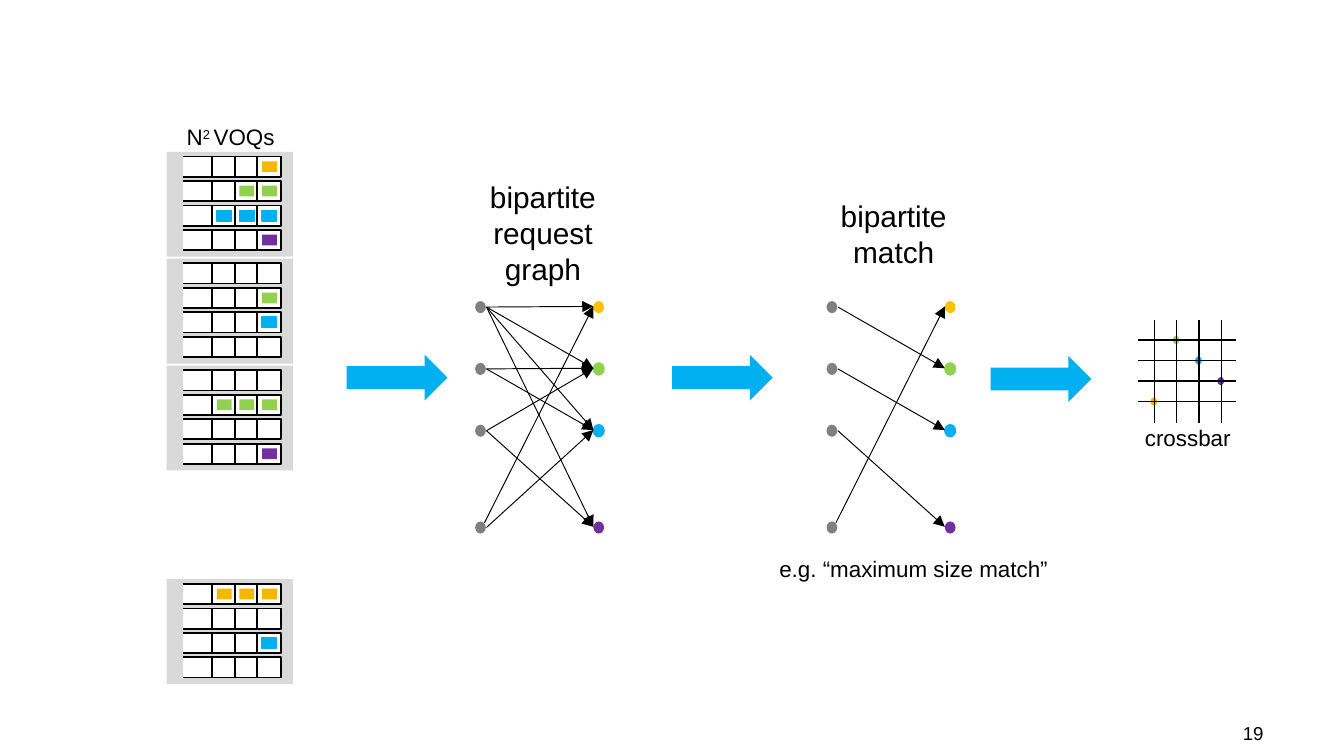
import pptx
import pptx.util
import pptx.dml.color
import pptx.enum.shapes
import pptx.enum.text
import pptx.oxml.ns
import lxml.etree

SHAPE = pptx.enum.shapes.MSO_SHAPE
ALIGN = pptx.enum.text.PP_ALIGN

COLORS = {
    "black": "000000", "white": "FFFFFF", "panel": "D9D9D9", "gray": "808080",
    "orange": "F5B800", "gold": "FFC000", "green": "92D050",
    "blue": "00B0F0", "purple": "7030A0",
}

COLUMNS, ROWS = 100, 56.25
CELL = pptx.util.Inches(10) / COLUMNS

PANELS = [
    (2, [(None, 0), ("green", 3), (None, 0), ("purple", 1)]),
    (1, [(None, 0), ("green", 1), ("blue", 1), (None, 0)]),
    (4, [("orange", 3), (None, 0), ("blue", 1), (None, 0)]),
    (0, [("orange", 1), ("green", 2), ("blue", 3), ("purple", 1)]),
]
PANEL_TOP, PANEL_PITCH, QUEUE_PITCH = 11.3, 7.95, 1.82

CROSSBAR_DOTS = [("green", 1, 0), ("blue", 2, 1), ("orange", 0, 3), ("purple", 3, 2)]

NODE_TOPS = [22.4, 27, 31.6, 38.8]
OUTPUTS = ["gold", "green", "blue", "purple"]
GRAPHS = [
    (35.35, [(0, 0), (3, 0), (3, 2), (1, 1), (1, 2), (2, 3), (0, 1), (0, 2), (0, 3), (2, 1)]),
    (61.5, [(3, 0), (1, 2), (2, 3), (0, 1)]),
]

FLOW_ARROWS = [(50, 26.4), (25.8, 26.4), (73.7, 26.5)]

LABELS = [
    ((71.7, 53.2, 23.3, 3.9), ["19"], 10, ALIGN.RIGHT),
    ((12.9, 8.7, 9.2, 3), [["N", "^2 ", "VOQs"]], 12, ALIGN.LEFT),
    ((84.2, 31.1, 8.5, 3), ["crossbar"], 12, ALIGN.LEFT),
    ((35.4, 12.8, 10, 9.1), ["bipartite", "request", "graph"], 16, ALIGN.CENTER),
    ((61.5, 14.2, 10, 6.4), ["bipartite", "match"], 16, ALIGN.CENTER),
    ((57, 40.8, 22.2, 3), ["e.g. “maximum size match”"], 12, ALIGN.LEFT),
]


def grid(*cells):
    return [round(cell * CELL) for cell in cells]


def rgb(name):
    return pptx.dml.color.RGBColor.from_string(COLORS[name])


def apply(target, values):
    for name, value in values.items():
        setattr(target, name, value)


def paint(shape, fill, line=None, width=0.75):
    shape.shadow.inherit = False
    shape.fill.solid()
    shape.fill.fore_color.rgb = rgb(fill)
    if line:
        shape.line.color.rgb = rgb(line)
        shape.line.width = pptx.util.Pt(width)
    else:
        shape.line.fill.background()


def add_block(shapes, kind, place, fill, line=None):
    paint(shapes.add_shape(kind, *grid(*place)), fill, line)


def add_line(shapes, start, end, width, arrow=False):
    line = shapes.add_connector(
        pptx.enum.shapes.MSO_CONNECTOR.STRAIGHT, *grid(*start, *end))
    line.line.color.rgb = rgb("black")
    line.line.width = pptx.util.Pt(width)
    properties = line._element.spPr
    if arrow:
        outline = properties.find(pptx.oxml.ns.qn("a:ln"))
        lxml.etree.SubElement(outline, pptx.oxml.ns.qn("a:tailEnd"), type="triangle")
    lxml.etree.SubElement(properties, pptx.oxml.ns.qn("a:effectLst"))


def add_label(shapes, place, lines, size, align):
    frame = shapes.add_textbox(*grid(*place)).text_frame
    frame.word_wrap = align == ALIGN.RIGHT
    for index, content in enumerate(lines):
        para = frame.add_paragraph() if index else frame.paragraphs[0]
        para.alignment = align
        for text in [content] if isinstance(content, str) else content:
            span = para.add_run()
            span.text = text.lstrip("^")
            apply(span.font, {"name": "Arial", "size": pptx.util.Pt(size)})
            span.font.color.rgb = rgb("black")
            if text.startswith("^"):
                span.font._element.set("baseline", "30000")


def add_queue(shapes, top):
    left, right, bottom = 13.6, 20.9, top + 1.5
    outline = shapes.build_freeform(*grid(left, top), scale=1.0)
    corners = [(right, top), (right, bottom), (left, bottom)]
    outline.add_line_segments([grid(*corner) for corner in corners], close=False)
    paint(outline.convert_to_shape(), "white", "black", 1)
    for index in range(3):
        x = 15.8 + 1.67 * index
        add_line(shapes, (x, top), (x, bottom), 1)


def add_panel(page, slot, queues):
    top = PANEL_TOP + PANEL_PITCH * slot
    shapes = page.shapes.add_group_shape().shapes
    add_block(shapes, SHAPE.RECTANGLE, (12.4, top, 9.4, 7.8), "panel")
    for row, (color, count) in enumerate(queues):
        queue_top = top + 0.35 + QUEUE_PITCH * row
        add_queue(shapes, queue_top)
        for index in range(count):
            place = (19.5 - 1.68 * index, queue_top + 0.35, 1.1, 0.8)
            outline = color if color == "blue" else None
            add_block(shapes, SHAPE.RECTANGLE, place, color, outline)


def add_crossbar(page):
    shapes = page.shapes.add_group_shape().shapes
    xs = [85.9 + 1.66 * column for column in range(4)]
    ys = [25.3 + 1.53 * row for row in range(4)]
    for color, column, row in CROSSBAR_DOTS:
        place = (xs[column] - 0.3, ys[row] - 0.3, 0.5, 0.6)
        add_block(shapes, SHAPE.OVAL, place, color)
    for y in ys:
        add_line(shapes, (84.7, y), (92, y), 0.75)
    for x in xs:
        add_line(shapes, (x, 23.8), (x, 31.5), 0.75)


def add_graph(page, left, edges):
    shapes = page.shapes.add_group_shape().shapes
    right = left + 8.8
    for top, color in zip(NODE_TOPS, OUTPUTS):
        add_block(shapes, SHAPE.OVAL, (left, top, 0.8, 0.9), "gray")
        outline = color if color in ("green", "blue") else None
        add_block(shapes, SHAPE.OVAL, (right, top, 0.8, 0.9), color, outline)
    for source, target in edges:
        steep = (source, target) == (3, 0)
        start = (left + (0.7 if steep else 0.85), NODE_TOPS[source] + (0.1 if steep else 0.45))
        add_line(shapes, start, (right, NODE_TOPS[target] + 0.4), 0.5, arrow=True)


def main():
    deck = pptx.Presentation()
    apply(deck, dict(zip(("slide_width", "slide_height"), grid(COLUMNS, ROWS))))
    page = deck.slides.add_slide(deck.slide_layouts[6])
    for slot, queues in PANELS:
        add_panel(page, slot, queues)
    add_crossbar(page)
    for left, edges in GRAPHS:
        add_graph(page, left, edges)
    for left, top in FLOW_ARROWS:
        add_block(page.shapes, SHAPE.RIGHT_ARROW, (left, top, 7.5, 3.4), "blue")
    for label in LABELS:
        add_label(page.shapes, *label)
    deck.save("out.pptx")


if __name__ == "__main__":
    main()
